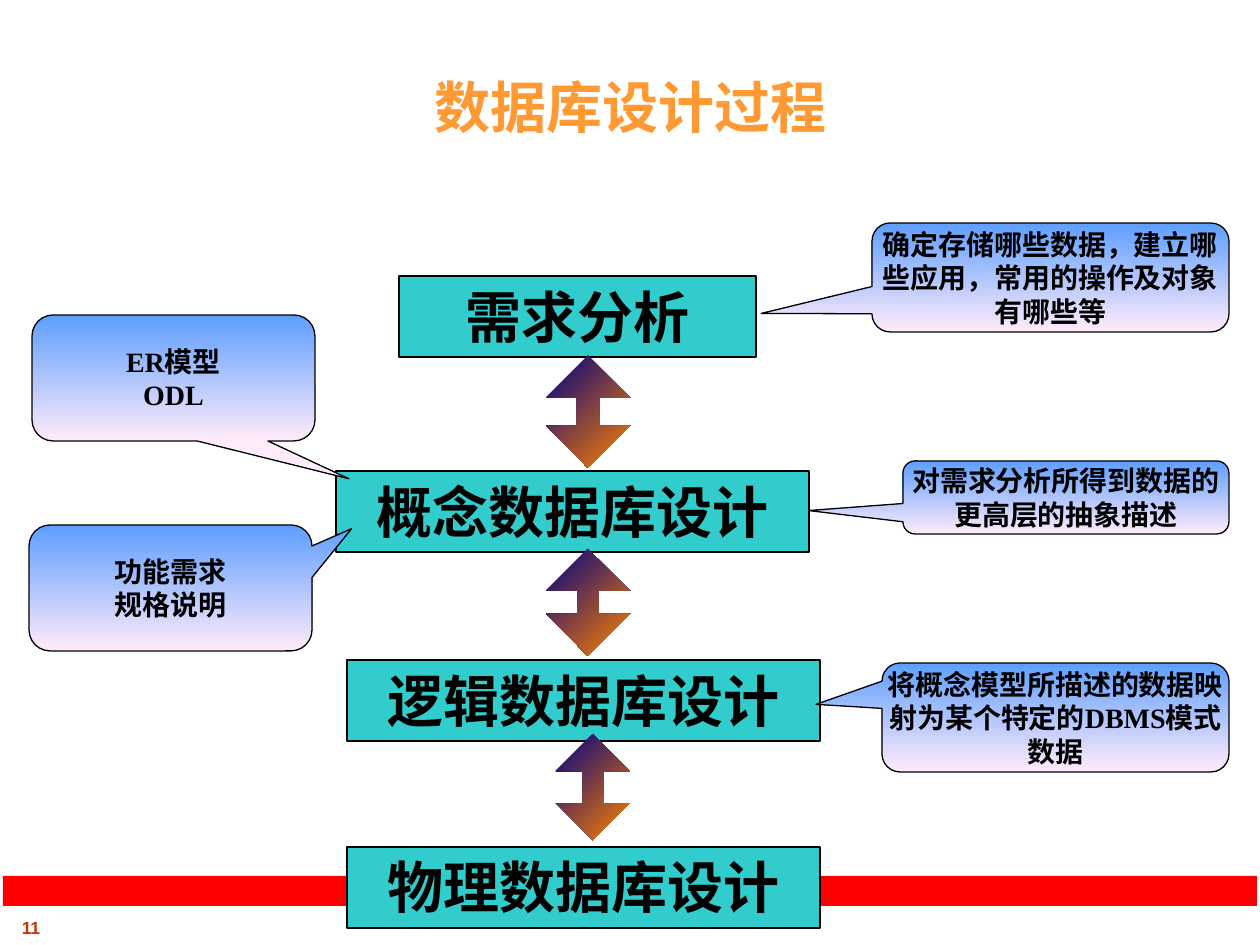
"""Build the slide showing the stages of database design."""
from pptx import Presentation
from pptx.dml.color import RGBColor
from pptx.enum.shapes import MSO_SHAPE
from pptx.enum.text import MSO_ANCHOR, MSO_AUTO_SIZE, PP_ALIGN
from pptx.util import Emu, Pt

RECT = MSO_SHAPE.RECTANGLE
CALLOUT = MSO_SHAPE.ROUNDED_RECTANGULAR_CALLOUT
ARROW = MSO_SHAPE.UP_DOWN_ARROW
TOP, MIDDLE, BOTTOM = MSO_ANCHOR.TOP, MSO_ANCHOR.MIDDLE, MSO_ANCHOR.BOTTOM
NO_RESIZE = MSO_AUTO_SIZE.NONE
CENTER = PP_ALIGN.CENTER

SLIDE_WIDTH, SLIDE_HEIGHT = 1260, 945
EMU_PER_PX = 914400 / 126
STAGE_HEIGHT = 81
CALLOUT_CORNER = 0.167
ARROW_SHAFT = 0.317

COLORS = {
    "title": "FF9933", "number": "CC3300", "strip": "FF0000",
    "stage": "33CCCC", "ink": "000000",
    "sky": "5E9EFF", "blush": "FFEBFA",
    "navy": "000082", "orange": "FF8200",
}
FORMATS = {
    "title": {"name": "Arial", "size": Pt(32), "bold": True},
    "number": {"name": "Arial", "size": Pt(10), "bold": True},
    "stage": {"name": "Times New Roman", "size": Pt(32), "bold": True},
    "callout": {"name": "Times New Roman", "size": Pt(16), "bold": True},
}

TITLE = ("数据库设计过程", (94, 42, 1074, 104))
NUMBER = ("11", (0, 911, 62, 34))
STRIP = (3, 876, 1254, 30)
STAGES = [
    ("需求分析", 399, 276, 357),
    ("概念数据库设计", 336, 471, 473),
    ("逻辑数据库设计", 347, 660, 473),
    ("物理数据库设计", 347, 847, 473),
]
CALLOUTS = [
    ("确定存储哪些数据，建立哪些应用，常用的操作及对象有哪些等", (872, 223, 357, 109), (-0.81, 0.33)),
    ("对需求分析所得到数据的更高层的抽象描述", (903, 461, 326, 73), (-0.79, 0.18)),
    ("将概念模型所描述的数据映射为某个特定的DBMS模式数据", (882, 663, 347, 109), (-0.69, -0.12)),
    ("ER模型\nODL", (32, 315, 283, 126), (0.62, 0.8)),
    ("功能需求\n规格说明", (29, 525, 283, 126), (0.64, -0.47)),
]
ARROWS = [
    ((546, 356, 84, 112), 0.27),
    ((546, 549, 84, 107), 0.26),
    ((556, 734, 74, 106), 0.29),
]


def px(length):
    return Emu(round(length * EMU_PER_PX))


def color(name):
    return RGBColor.from_string(COLORS[name])


def write(shape, text, style, ink, anchor, margins=(13, 6)):
    frame = shape.text_frame
    frame.text = text
    side, edge = map(px, margins)
    layout = {
        "auto_size": NO_RESIZE, "word_wrap": True, "vertical_anchor": anchor,
        "margin_left": side, "margin_right": side,
        "margin_top": edge, "margin_bottom": edge,
    }
    for key, value in layout.items():
        setattr(frame, key, value)
    for para in frame.paragraphs:
        para.alignment = CENTER
        for span in para.runs:
            for key, value in FORMATS[style].items():
                setattr(span.font, key, value)
            span.font.color.rgb = color(ink)


def add_box(page, kind, area, fills, outlined, angle=0, adjustments=()):
    shape = page.shapes.add_shape(kind, *map(px, area))
    shape.shadow.inherit = False
    for index, value in enumerate(adjustments):
        shape.adjustments[index] = value
    if len(fills) == 1:
        shape.fill.solid()
        shape.fill.fore_color.rgb = color(fills[0])
    else:
        shape.fill.gradient()
        shape.fill.gradient_angle = angle
        for stop, name in zip(shape.fill.gradient_stops, fills):
            stop.color.rgb = color(name)
    if outlined:
        shape.line.color.rgb = color("ink")
        shape.line.width = Pt(0.75)
    else:
        shape.line.fill.background()
    return shape


def main():
    deck = Presentation()
    deck.slide_width, deck.slide_height = px(SLIDE_WIDTH), px(SLIDE_HEIGHT)
    page = deck.slides.add_slide(deck.slide_layouts[5])

    text, area = TITLE
    title = page.shapes.title
    title.left, title.top, title.width, title.height = map(px, area)
    write(title, text, "title", "title", BOTTOM)

    text, area = NUMBER
    write(page.shapes.add_textbox(*map(px, area)), text, "number", "number", TOP)
    add_box(page, RECT, STRIP, ["strip"], False)

    for text, left, top, width in STAGES:
        stage = add_box(page, RECT, (left, top, width, STAGE_HEIGHT), ["stage"], True)
        write(stage, text, "stage", "ink", TOP)

    for text, area, tip in CALLOUTS:
        callout = add_box(page, CALLOUT, area, ["sky", "blush"], True, 270, (*tip, CALLOUT_CORNER))
        write(callout, text, "callout", "ink", MIDDLE, (0, 0))

    for area, head in ARROWS:
        add_box(page, ARROW, area, ["navy", "orange"], False, 315, (ARROW_SHAFT, head))

    deck.save("out.pptx")


if __name__ == "__main__":
    main()
